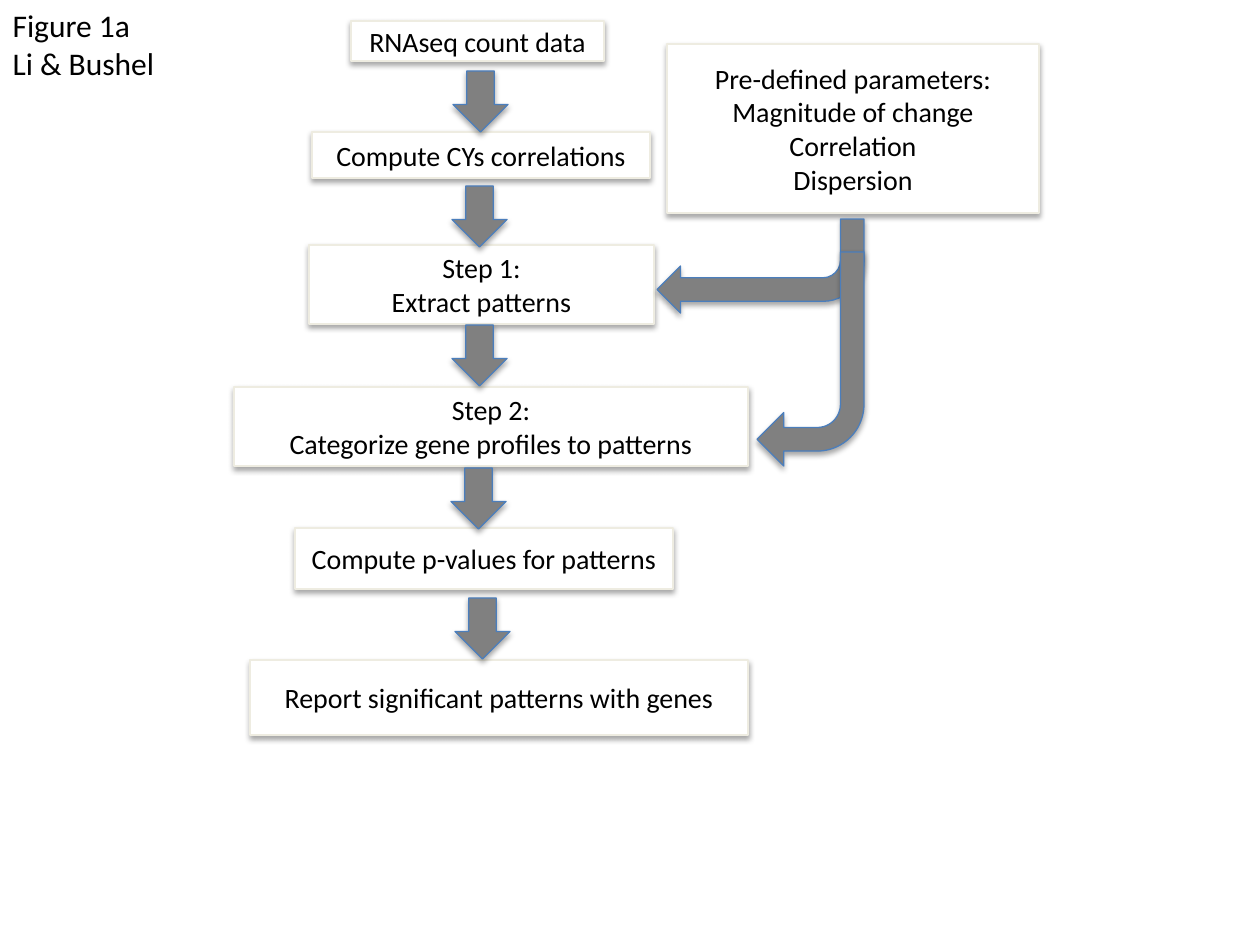
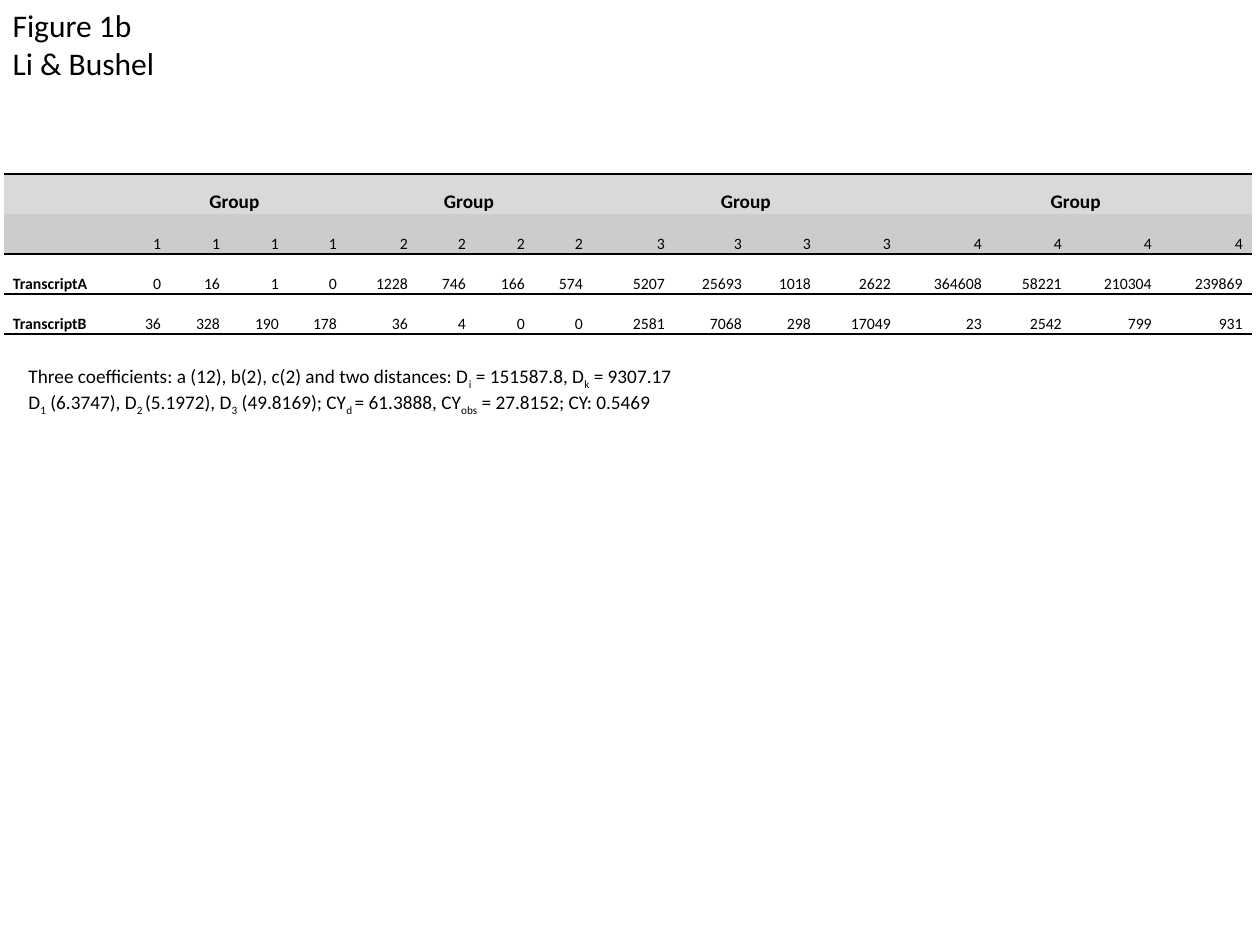
from lxml import etree
from pptx import Presentation
from pptx.dml.color import RGBColor
from pptx.enum import shapes, text
from pptx.oxml.ns import qn
from pptx.util import Pt

SCALE = 914400 / 126  # EMU in one px
FONT = "Calibri"
INK = {
    "text": "000000", "paper": "FFFFFF", "edge": "EEECE1", "arrow": "808080",
    "rim": "4B7EBC", "head": "D9D9D9", "sub": "CCCCCC",
}
PLAIN = "{2D5ABB26-0587-4C30-8999-92F81FD0307C}"  # table style without grid
LEFT, MID, RIGHT = text.PP_ALIGN.LEFT, text.PP_ALIGN.CENTER, text.PP_ALIGN.RIGHT
KIND = shapes.MSO_SHAPE


def px(*sizes):
    return [round(size * SCALE) for size in sizes]


def tint(name):
    return RGBColor.from_string(INK[name])


def apply(item, **values):
    for name, value in values.items():
        setattr(item, name, value)


class Deck:
    def __init__(self):
        self.prs = Presentation()
        self.prs.slide_width, self.prs.slide_height = px(1260, 945)
        self.slide = None

    def page(self, title):
        """Start a slide with its figure label at the top left."""
        self.slide = self.prs.slides.add_slide(self.prs.slide_layouts[5])
        head = self.slide.shapes.title
        self.place(head, 0, 0, 169, 89)
        apply(head.text_frame, word_wrap=False, auto_size=text.MSO_AUTO_SIZE.NONE,
              vertical_anchor=text.MSO_ANCHOR.TOP)
        self.label(head.text_frame, title, 18)

    def place(self, item, *box):
        apply(item, **dict(zip(("left", "top", "width", "height"), px(*box))))

    def label(self, frame, lines, size, align=LEFT, bold=False, space=None):
        """Fill a frame; parts between bars are set as subscripts."""
        for row, line in enumerate(lines):
            para = frame.add_paragraph() if row else frame.paragraphs[0]
            apply(para, alignment=align, line_spacing=space)
            for part, words in enumerate(line.split("|")):
                run = para.add_run()
                run.text = words
                apply(run.font, name=FONT, size=Pt(size), bold=bold)
                run.font.color.rgb = tint("text")
                if part % 2:
                    run.font._element.set("baseline", "-25000")

    def shape(self, kind, box, fill, line):
        item = self.slide.shapes.add_shape(kind, *px(*box))
        item.fill.solid()
        item.fill.fore_color.rgb = tint(fill)
        item.line.color.rgb = tint(line)
        item.line.width = Pt(0.75)
        self.shade(item)
        return item

    def shade(self, item):
        """Give a shape a soft shadow straight below it."""
        item.shadow.inherit = False
        effects = item._element.spPr.find(qn("a:effectLst"))
        outer = etree.SubElement(effects, qn("a:outerShdw"), blurRad="40000",
                                 dist="23000", dir="5400000", rotWithShape="0")
        color = etree.SubElement(outer, qn("a:srgbClr"), val=INK["text"])
        etree.SubElement(color, qn("a:alpha"), val="35000")

    def box(self, lines, *place):
        item = self.shape(KIND.RECTANGLE, place, "paper", "edge")
        item.text_frame.word_wrap = True
        item.text_frame.vertical_anchor = text.MSO_ANCHOR.MIDDLE
        self.label(item.text_frame, lines, 16, MID)

    def down(self, left, top):
        self.shape(KIND.DOWN_ARROW, (left, top, 55, 61), "arrow", "rim")

    def bend(self, thick, *place):
        item = self.shape(KIND.BENT_ARROW, place, "arrow", "rim")
        item.rotation = 180
        item.adjustments[0] = thick

    def note(self, lines, *place):
        frame = self.slide.shapes.add_textbox(*px(*place)).text_frame
        frame.word_wrap = True
        self.label(frame, lines, 11)

    def grid(self, rows, cols, left, top, high):
        frame = self.slide.shapes.add_table(
            len(rows), len(cols), *px(left, top, sum(cols), high * len(rows)))
        table = frame.table
        table._tbl.tblPr.find(qn("a:tableStyleId")).text = PLAIN
        apply(table, first_row=False, horz_banding=False)
        for col, wide in zip(table.columns, px(*cols)):
            col.width = wide
        for row in table.rows:
            row.height = px(high)[0]
        return table

    def cell(self, cell, words, fill, rule, **style):
        side = px(9)[0]
        apply(cell, margin_left=side, margin_right=side, margin_top=0,
              margin_bottom=0, vertical_anchor=text.MSO_ANCHOR.BOTTOM)
        line = etree.SubElement(cell._tc.get_or_add_tcPr(), qn(rule), w="12700")
        solid = etree.SubElement(line, qn("a:solidFill"))
        etree.SubElement(solid, qn("a:srgbClr"), val=INK["text"])
        cell.fill.solid()
        cell.fill.fore_color.rgb = tint(fill)
        if words:
            self.label(cell.text_frame, [words], space=1.15, **style)


def flow(deck):
    deck.page(["Figure 1a", "Li & Bushel"])

    # Steps and parameters
    for lines, *place in (
        (["RNAseq count data"], 351, 21, 253, 40),
        (["Compute CYs correlations"], 312, 132, 338, 46),
        (["Step 1:", "Extract patterns"], 309, 245, 345, 79),
        (["Pre-defined parameters:", "Magnitude of change", "Correlation",
          "Dispersion"], 667, 44, 372, 169),
        (["Step 2:", "Categorize gene profiles to patterns"], 234, 387, 514, 79),
        (["Compute p-values for patterns"], 295, 528, 378, 61),
        (["Report significant patterns with genes"], 250, 660, 498, 75),
    ):
        deck.box(lines, *place)

    # Arrows between steps, then from the parameters
    for left, top in ((453, 71), (452, 186), (452, 325), (451, 468), (455, 598)):
        deck.down(left, top)
    deck.bend(0.25, 657, 219, 207, 94)
    deck.bend(0.22, 757, 252, 107, 214)


def counts(deck):
    deck.page(["Figure 1b", "Li & Bushel"])

    # Count table: four samples in each of four groups
    cols = [119, 47, 59, 59, 58, 71, 58, 59, 58, 82, 77, 69, 80, 91, 80, 90, 91]
    groups = [str(num) for num in range(1, 5) for _ in range(4)]
    rows = [
        [""] + ["Group", "", "", ""] * 4,
        [""] + groups,
        "TranscriptA 0 16 1 0 1228 746 166 574 5207 25693 1018 2622"
        " 364608 58221 210304 239869".split(),
        "TranscriptB 36 328 190 178 36 4 0 0 2581 7068 298 17049"
        " 23 2542 799 931".split(),
    ]
    table = deck.grid(rows, cols, 4, 174, 40)
    for y, (row, fill) in enumerate(zip(rows, ("head", "sub", "paper", "paper"))):
        for x, words in enumerate(row):
            align = MID if y == 0 else RIGHT if x else LEFT
            deck.cell(table.cell(y, x), words, fill, "a:lnB" if y else "a:lnT",
                      size=9 if y else 11, align=align, bold=y == 0 or x == 0)
    for x in range(1, len(cols), 4):
        table.cell(0, x).merge(table.cell(0, x + 3))

    # Coefficients and distances
    deck.note([
        "Three coefficients: a (12), b(2), c(2) and two distances: "
        "D|i| = 151587.8, D|k| = 9307.17",
        "D|1| (6.3747), D|2 |(5.1972), D|3| (49.8169); "
        "CY|d |= 61.3888, CY|obs| = 27.8152; CY: 0.5469",
    ], 16, 358, 750, 59)


def main():
    deck = Deck()
    flow(deck)
    counts(deck)
    deck.prs.save("out.pptx")


if __name__ == "__main__":
    main()
